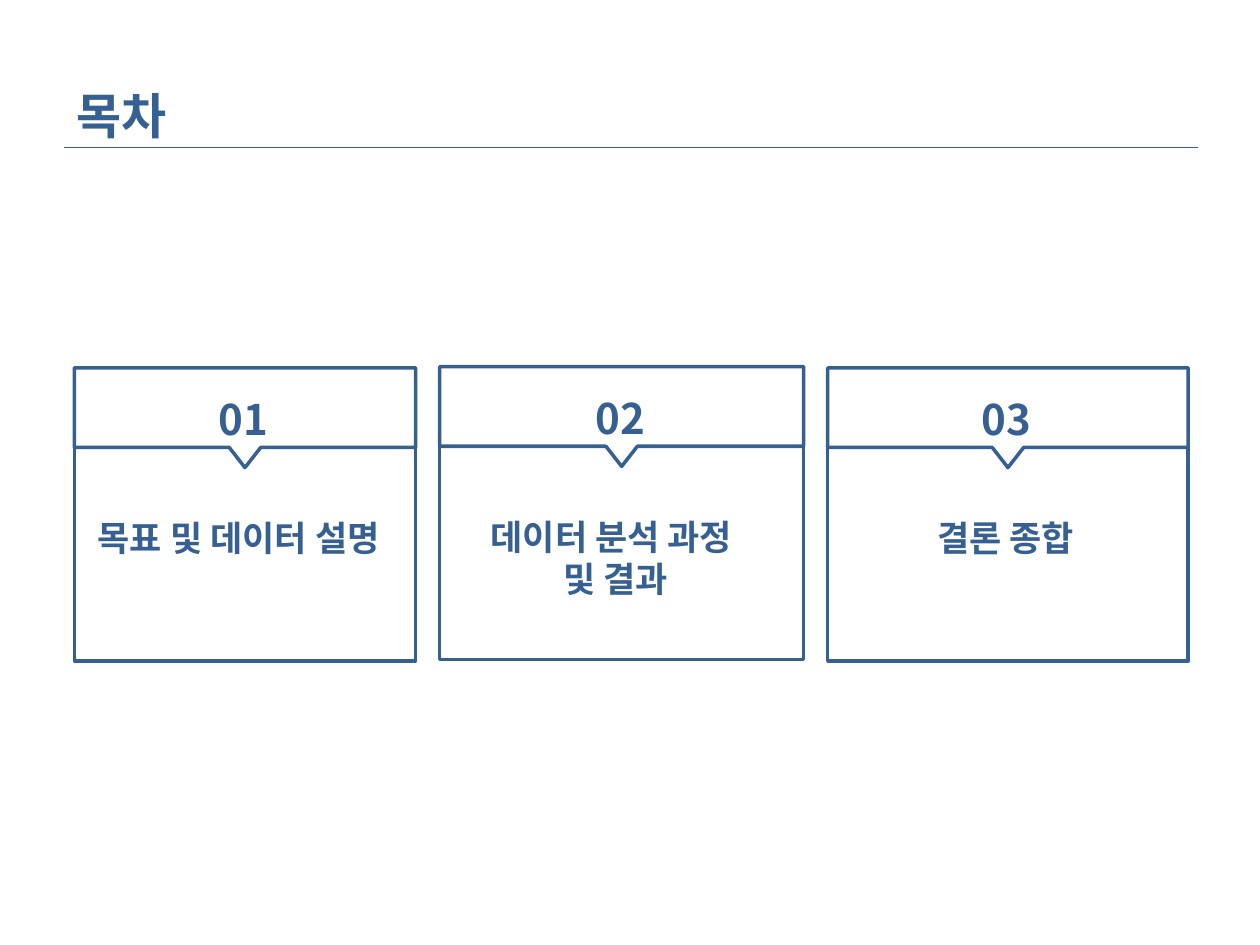
from pptx import Presentation
from pptx.dml.color import RGBColor as Rgb
from pptx.enum.shapes import MSO_CONNECTOR as Conn, MSO_SHAPE as Kind
from pptx.enum.text import MSO_ANCHOR as Anchor, PP_ALIGN as Align
from pptx.oxml.ns import qn
from pptx.util import Pt
from lxml.etree import SubElement as Sub

FONT = "Noto Sans CJK KR"
HUES = {"blue": "376092", "white": "FFFFFF"}
TITLE = "목차"
CARDS = [
    (" 01", ["목표 및 데이터 설명"], 195, 210.2),
    (" 02", ["데이터 분석 과정 ", "및 결과"], 208, 209.5),
    (" 03", [" 결론 종합"], 206, 210.2),
]
LEFT, GAP = 42.5, 13.75
DROP, TALL = 28.5, 139
EDGE, TIP, HALF = 45.5, 57, 9


def hue(name):
    return Rgb.from_string(HUES[name])


def write(shape, lines, size, pitch, pads, align):
    frame = shape.text_frame
    frame.word_wrap = True
    frame.vertical_anchor = Anchor.TOP
    (frame.margin_left, frame.margin_top,
     frame.margin_right, frame.margin_bottom) = map(Pt, pads)
    for i, line in enumerate(lines):
        para = frame.add_paragraph() if i else frame.paragraphs[0]
        para.alignment = align
        para.line_spacing = Pt(pitch)
        run = para.add_run()
        run.text = line
        font = run.font
        font.name, font.size, font.bold = FONT, Pt(size), True
        font.color.rgb = hue("blue")
        Sub(run._r.get_or_add_rPr(), qn("a:ea"), typeface=FONT)


def paint(shape):
    shape.shadow.inherit = False
    shape.fill.solid()
    shape.fill.fore_color.rgb = hue("white")
    shape.line.color.rgb = hue("blue")
    shape.line.width = Pt(2)


def card(shapes, left, top, wide, label, lines):
    body = shapes.add_shape(Kind.RECTANGLE, Pt(left), Pt(top + DROP),
                            Pt(wide), Pt(TALL))
    paint(body)
    write(body, lines, 20, 24, (0, 56.5, 7.2, 3.6), Align.CENTER)

    right, mid, low = left + wide, left + wide / 2, top + EDGE
    dots = [(right, top), (right, low), (mid + HALF, low),
            (mid, top + TIP), (mid - HALF, low), (left, low)]
    pen = shapes.build_freeform(Pt(left), Pt(top))
    pen.add_line_segments([(Pt(x), Pt(y)) for x, y in dots])
    head = pen.convert_to_shape()
    paint(head)
    write(head, [label], 24, 29, (0, 14.4, 7.2, 3.6), Align.CENTER)


def main():
    deck = Presentation()
    deck.slide_width, deck.slide_height = Pt(720), Pt(540)
    slide = deck.slides.add_slide(deck.slide_layouts[6])
    shapes = slide.shapes

    rule = shapes.add_connector(Conn.STRAIGHT, Pt(36.7), Pt(84.2),
                                Pt(684.7), Pt(84.2))
    rule.line.color.rgb = hue("blue")
    rule.line.width = Pt(0.75)
    Sub(rule._element.spPr, qn("a:effectLst"))

    title = shapes.add_textbox(Pt(36.7), Pt(28.8), Pt(318), Pt(52))
    write(title, [TITLE], 28, 50, (7.2, 3.6, 7.2, 3.6), Align.LEFT)

    left = LEFT
    for label, lines, wide, top in CARDS:
        group = shapes.add_group_shape()
        card(group.shapes, left, top, wide, label, lines)
        left += wide + GAP

    deck.save("out.pptx")


if __name__ == "__main__":
    main()
